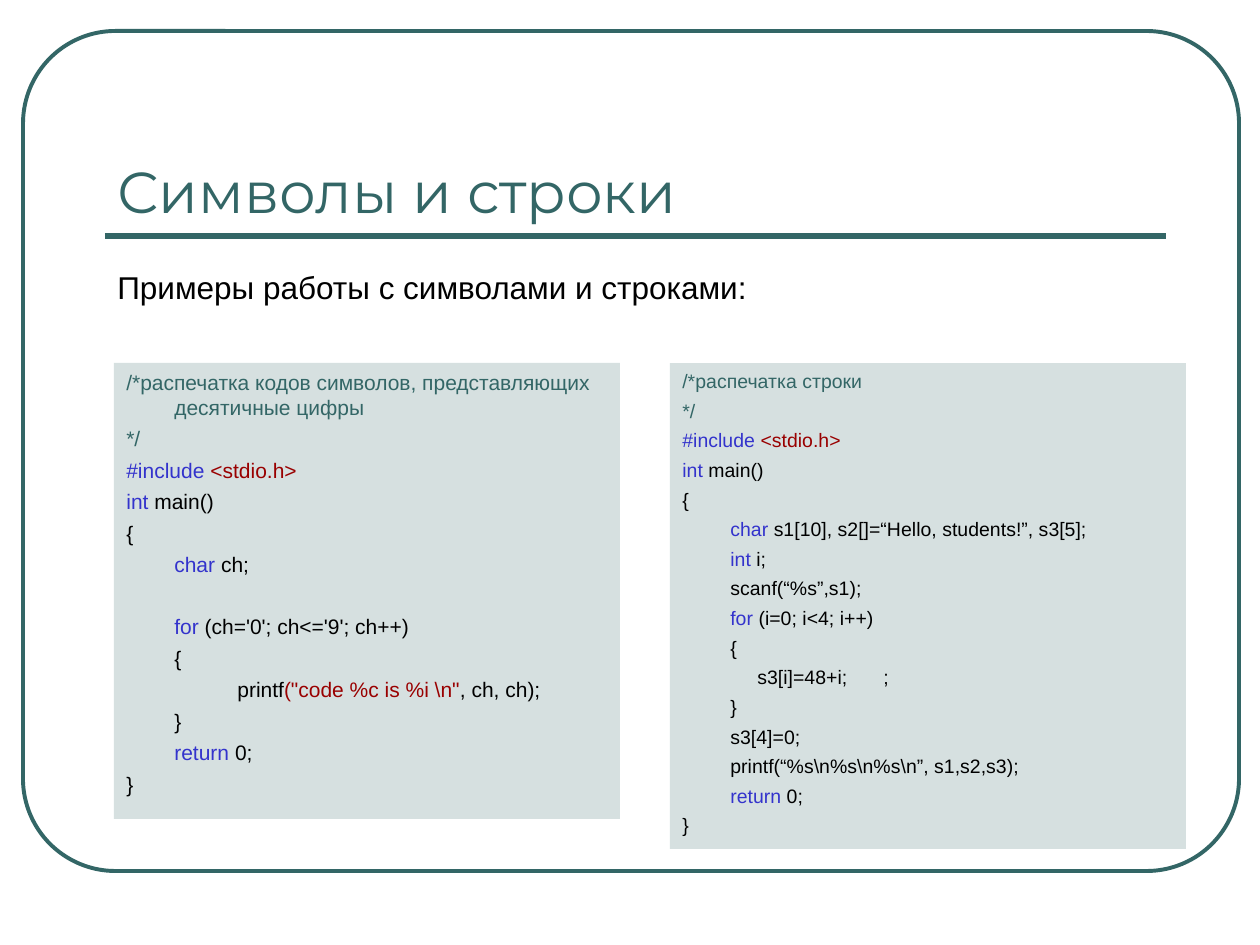
"""Build a slide with two C listings on characters and strings."""
import pptx
import pptx.dml.color
import pptx.enum.shapes
import pptx.enum.text
import pptx.oxml.ns
import pptx.util
from lxml import etree

RGBColor = pptx.dml.color.RGBColor
TEAL = RGBColor(0x33, 0x66, 0x66)
PANEL = RGBColor(0xD6, 0xE0, 0xE0)
BLUE = RGBColor(0x33, 0x33, 0xCC)
RED = RGBColor(0x99, 0x00, 0x00)
BLACK = RGBColor(0x00, 0x00, 0x00)
PX = 914400 / 126
INDENT, DEEP_INDENT, TAB = 48, 75, 126


def px(n):
    return pptx.util.Emu(round(n * PX))


def add_run(p, text, size, font, color):
    r = p.add_run()
    r.text = text
    r.font.size = pptx.util.Pt(size)
    r.font.name = font
    r.font.color.rgb = color


prs = pptx.Presentation()
prs.slide_width, prs.slide_height = px(1260), px(945)
s = prs.slides.add_slide(prs.slide_layouts[6])

sp = s.shapes.add_shape(pptx.enum.shapes.MSO_SHAPE.ROUNDED_RECTANGLE,
                        px(23), px(31), px(1216), px(840))
sp.adjustments[0] = 0.11
sp.shadow.inherit = False
sp.fill.background()
sp.line.color.rgb = TEAL
sp.line.width = pptx.util.Pt(2.25)

rule = s.shapes.add_connector(pptx.enum.shapes.MSO_CONNECTOR.STRAIGHT,
                              px(105), px(236), px(1166), px(236))
rule.line.color.rgb = TEAL
rule.line.width = pptx.util.Pt(3)
etree.SubElement(rule._element.spPr, pptx.oxml.ns.qn("a:effectLst"))

ANCHOR = pptx.enum.text.MSO_ANCHOR
headings = [
    ("Символы и строки", 73, 158, ANCHOR.BOTTOM, 33, "Montserrat", TEAL),
    ("Примеры работы с символами и строками:", 262, 81, ANCHOR.TOP, 18, "Arial", BLACK),
]
for text, top, height, anchor, size, font, color in headings:
    tf = s.shapes.add_textbox(px(105), px(top), px(1061), px(height)).text_frame
    tf.word_wrap = True
    tf.vertical_anchor = anchor
    p = tf.paragraphs[0]
    p.space_before = pptx.util.Pt(4.5)
    add_run(p, text, size, font, color)

opening = [
    [("*/", TEAL)],
    [("#include ", BLUE), ("<stdio.h>", RED)],
    [("int", BLUE), (" main()", BLACK)],
    [("{", BLACK)],
]
closing = [
    [("\t", BLACK), ("return", BLUE), (" 0;", BLACK)],
    [("}", BLACK)],
]
codes_listing = [
    [("/*распечатка кодов символов, представляющих десятичные цифры", TEAL)],
    *opening,
    [("\t", BLACK), ("char", BLUE), (" ch;", BLACK)],
    [("\t", BLACK), ("for", BLUE), (" (ch='0'; ch<='9'; ch++)", BLACK)],
    [("\t{", BLACK)],
    [("\t\tprintf", BLACK), ("(\"code %c is %i \\n\"", RED), (", ch, ch);", BLACK)],
    [("\t}", BLACK)],
    *closing,
]
strings_listing = [
    [("/*распечатка строки", TEAL)],
    *opening,
    [("\t", BLACK), ("char ", BLUE), ("s1[10], s2[]=“Hello, students!”, s3[5];", BLACK)],
    [("\t", BLACK), ("int", BLUE), (" i;", BLACK)],
    [("\tscanf(“%s”,s1);", BLACK)],
    [("\t", BLACK), ("for", BLUE), (" (i=0; i<4; i++)", BLACK)],
    [("\t{", BLACK)],
    [("\ts3[i]=48+i;\t;", BLACK)],
    [("\t}", BLACK)],
    [("\ts3[4]=0;", BLACK)],
    [("\tprintf(“%s\\n%s\\n%s\\n”, s1,s2,s3);", BLACK)],
    *closing,
]
panels = [
    (114, 506, 456, 12, codes_listing, 6, None),
    (670, 516, 486, 11.1, strings_listing, None, 10),
]
for left, width, height, size, listing, spaced_line, deep_line in panels:
    sp = s.shapes.add_shape(pptx.enum.shapes.MSO_SHAPE.RECTANGLE,
                            px(left), px(363), px(width), px(height))
    sp.shadow.inherit = False
    sp.fill.solid()
    sp.fill.fore_color.rgb = PANEL
    sp.line.fill.background()
    tf = sp.text_frame
    tf.word_wrap = True
    tf.vertical_anchor = ANCHOR.TOP
    for i, line in enumerate(listing):
        p = tf.add_paragraph() if i else tf.paragraphs[0]
        p.alignment = pptx.enum.text.PP_ALIGN.LEFT
        p.space_before = pptx.util.Pt(21 if i == spaced_line else 3.6)
        indent = DEEP_INDENT if i == deep_line else INDENT
        pPr = p._p.get_or_add_pPr()
        pPr.set("marL", str(px(indent)))
        pPr.set("indent", str(-px(indent)))
        tabs = etree.SubElement(pPr, pptx.oxml.ns.qn("a:tabLst"))
        for pos in (0, TAB + INDENT - indent):
            etree.SubElement(tabs, pptx.oxml.ns.qn("a:tab"), pos=str(px(pos)), algn="l")
        for text, color in line:
            add_run(p, text, size, "Arial", color)

prs.save("out.pptx")
